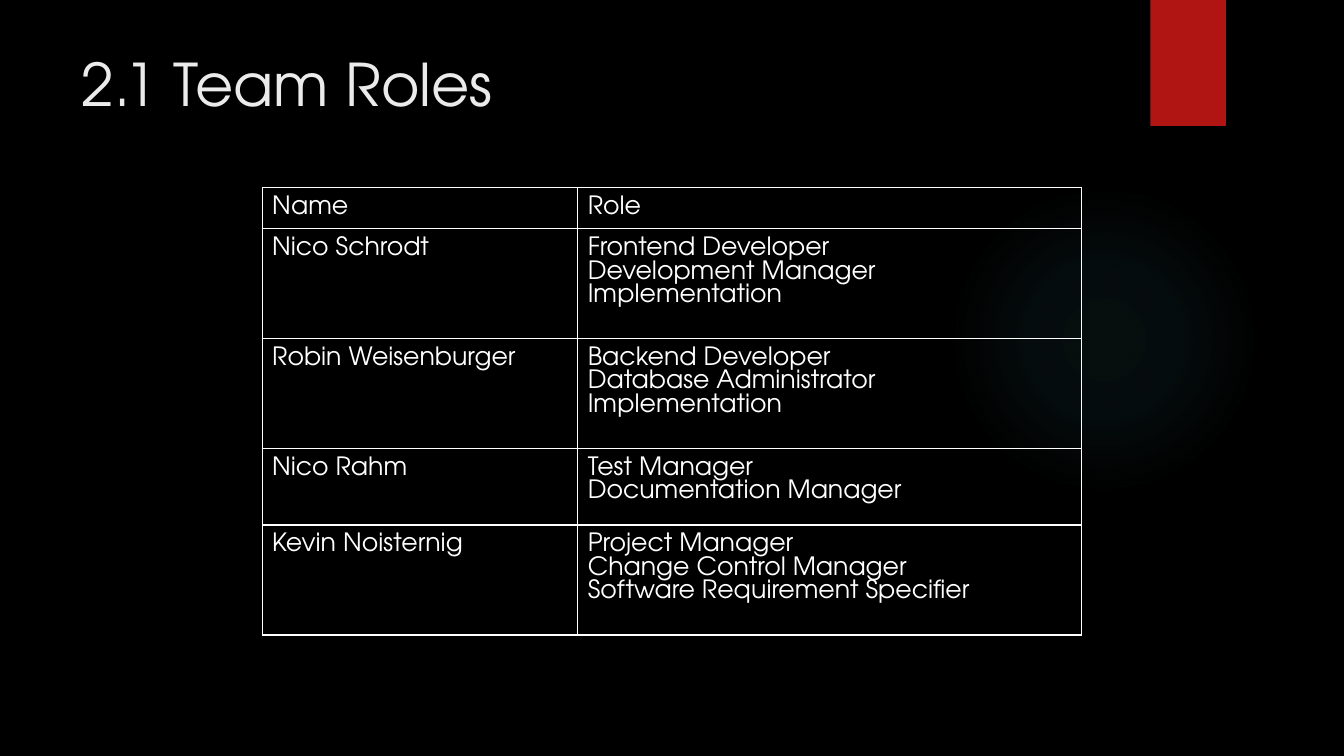
from dataclasses import dataclass

from pptx import Presentation
from pptx.dml.color import RGBColor
from pptx.enum.shapes import MSO_SHAPE as Shape
from pptx.enum.text import MSO_ANCHOR as Anchor
from pptx.oxml import parse_xml
from pptx.util import Inches, Pt

DRAWING_NS = 'xmlns:a="http://schemas.openxmlformats.org/drawingml/2006/main"'


@dataclass(frozen=True)
class Theme:
    background: str = "000000"
    glow: str = "50B9C1"
    ribbon: str = "B01513"
    title: str = "EBEBEB"
    body: str = "FFFFFF"
    border: str = "FFFFFF"
    font: str = "TeX Gyre Adventor"
    title_size: float = 42
    body_size: float = 18
    body_leading: float = 16.8
    border_width: float = 1


THEME = Theme()

ROLES = [
    ("Name", ["Role"]),
    ("Nico Schrodt", ["Frontend Developer", "Development Manager", "Implementation"]),
    ("Robin Weisenburger", ["Backend Developer", "Database Administrator", "Implementation"]),
    ("Nico Rahm", ["Test Manager", "Documentation Manager"]),
    ("Kevin Noisternig", ["Project Manager", "Change Control Manager",
                          "Software Requirement Specifier"]),
]
COLUMN_WIDTHS = [3.13, 5]
ROW_HEIGHTS = {"header": 0.41, 2: 0.76, 3: 1.09}  # by number of roles


def add_run(paragraph, text, size, color):
    run = paragraph.add_run()
    run.text = text
    run.font.name = THEME.font
    run.font.size = Pt(size)
    run.font.color.rgb = RGBColor.from_string(color)


def add_plain_shape(slide, kind, box):
    shape = slide.shapes.add_shape(kind, *map(Inches, box))
    shape.shadow.inherit = False
    shape.line.fill.background()
    return shape


def add_backdrop(slide, glow_box, ribbon_box):
    slide.background.fill.solid()
    slide.background.fill.fore_color.rgb = RGBColor.from_string(THEME.background)

    # Soft glow that fades outwards: position and opacity in percent
    glow = add_plain_shape(slide, Shape.OVAL, glow_box)
    stops = "".join(
        f'<a:gs pos="{position * 1000}"><a:srgbClr val="{THEME.glow}">'
        f'<a:alpha val="{opacity * 1000}"/></a:srgbClr></a:gs>'
        for position, opacity in [(0, 7), (36, 6), (69, 0), (100, 0)])
    gradient = parse_xml(
        f'<a:gradFill {DRAWING_NS} rotWithShape="1"><a:gsLst>{stops}</a:gsLst>'
        '<a:path path="circle"><a:fillToRect l="50000" t="50000" r="50000" b="50000"/>'
        '</a:path></a:gradFill>')
    glow.element.spPr.find("{*}prstGeom").addnext(gradient)

    # Ribbon at the top edge
    ribbon = add_plain_shape(slide, Shape.RECTANGLE, ribbon_box)
    ribbon.fill.solid()
    ribbon.fill.fore_color.rgb = RGBColor.from_string(THEME.ribbon)


def add_title(slide, box, text):
    frame = slide.shapes.add_textbox(*map(Inches, box)).text_frame
    frame.word_wrap = True
    frame.vertical_anchor = Anchor.TOP
    heading = frame.paragraphs[0]
    heading.line_spacing = 0.9
    add_run(heading, text, THEME.title_size, THEME.title)


def fill_cell(cell, lines):
    cell.margin_top = Inches(0.08)
    cell.margin_bottom = Inches(0.05)
    cell.vertical_anchor = Anchor.TOP
    frame = cell.text_frame
    for index, line in enumerate(lines):
        paragraph = frame.add_paragraph() if index else frame.paragraphs[0]
        paragraph.line_spacing = Pt(THEME.body_leading)
        add_run(paragraph, line, THEME.body_size, THEME.body)

    # Borders come before the fill in the cell properties
    properties = cell._tc.get_or_add_tcPr()
    for side in "LRTB":
        properties.append(parse_xml(
            f'<a:ln{side} {DRAWING_NS} w="{Pt(THEME.border_width)}"><a:solidFill>'
            f'<a:srgbClr val="{THEME.border}"/></a:solidFill></a:ln{side}>'))
    cell.fill.background()


def add_roles_table(slide, box):
    table = slide.shapes.add_table(
        len(ROLES), len(COLUMN_WIDTHS), *map(Inches, box)).table
    table.horz_banding = False
    table.first_row = False
    for column, width in zip(table.columns, COLUMN_WIDTHS):
        column.width = Inches(width)
    for index, (name, roles) in enumerate(ROLES):
        table.rows[index].height = Inches(ROW_HEIGHTS[len(roles) if index else "header"])
        fill_cell(table.cell(index, 0), [name])
        fill_cell(table.cell(index, 1), roles)


def main():
    deck = Presentation()
    deck.slide_width = Inches(13.33)
    deck.slide_height = Inches(7.5)
    slide = deck.slides.add_slide(deck.slide_layouts[6])
    add_backdrop(slide, (9.41, 1.83, 3.08, 3.08), (11.41, 0, 0.75, 1.25))
    add_title(slide, (0.71, 0.5, 10.29, 1.53), "2.1 Team Roles")
    add_roles_table(slide, (2.6, 1.86, 8.13, 4.43))
    deck.save("out.pptx")


if __name__ == "__main__":
    main()
